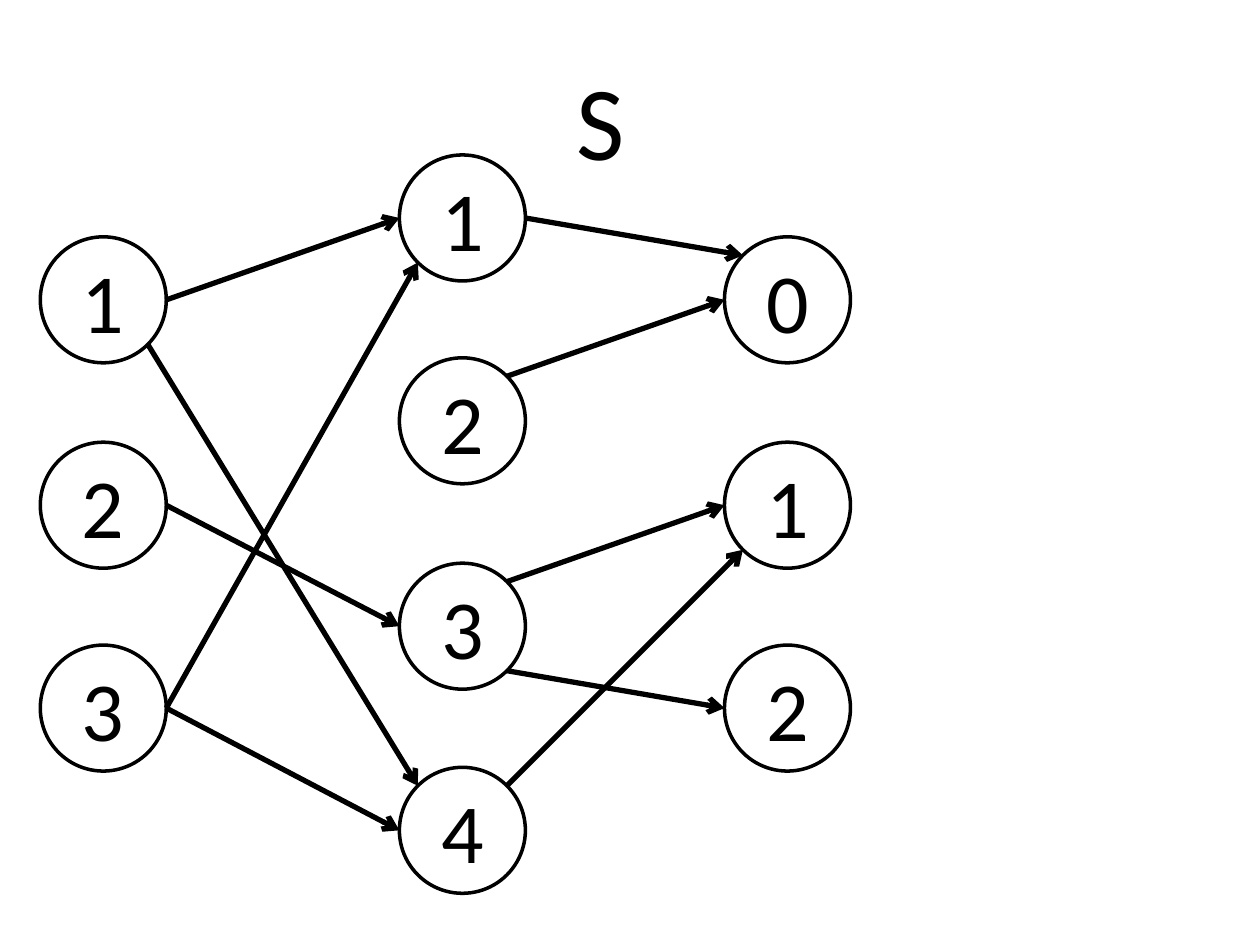
import math

from lxml import etree
from pptx import Presentation
from pptx import util as u
from pptx.dml.color import RGBColor
from pptx.enum import shapes, text
from pptx.oxml.ns import qn

PX = 9144  # EMU per px, 100 px to the inch
DIAMETER = 100

# Connection sites of an ellipse: (site index, angle in degrees, clockwise from the right)
SITES = {"left": (2, 180), "top left": (1, 225), "bottom left": (3, 135),
         "right": (6, 0), "top right": (7, 315), "bottom right": (5, 45)}

OUTER_ROWS = (188, 351, 512)
COLUMNS = {
    "source": (32, OUTER_ROWS, "123"),
    "middle": (317, (123, 284, 447, 609), "1234"),
    "target": (575, OUTER_ROWS, "012"),
}
EDGES = [
    ("source", "1", "right", "middle", "1", "left"),
    ("source", "1", "bottom right", "middle", "4", "top left"),
    ("source", "2", "right", "middle", "3", "left"),
    ("source", "3", "right", "middle", "1", "bottom left"),
    ("source", "3", "right", "middle", "4", "left"),
    ("middle", "1", "right", "target", "0", "top left"),
    ("middle", "2", "top right", "target", "0", "left"),
    ("middle", "3", "top right", "target", "1", "left"),
    ("middle", "3", "bottom right", "target", "2", "left"),
    ("middle", "4", "top right", "target", "1", "bottom left"),
]


def colour(hex_code):
    return RGBColor.from_string(hex_code)


def set_all(target, values):
    for name, value in values.items():
        setattr(target, name, value)


def site_point(node, site):
    """Return the EMU position of a connection site on a circle."""
    angle = math.radians(SITES[site][1])
    radius = node.width / 2
    return (round(node.left + radius * (1 + math.cos(angle))),
            round(node.top + radius * (1 + math.sin(angle))))


class GraphSlide:
    ink = "000000"
    font = "Calibri"

    def __init__(self, slide):
        self.shapes = slide.shapes

    def put_text(self, frame, wording, size, frame_format, align):
        set_all(frame, frame_format)
        paragraph = frame.paragraphs[0]
        paragraph.alignment = align
        run = paragraph.add_run()
        run.text = wording
        set_all(run.font, {"name": self.font, "size": u.Pt(size)})
        run.font.color.rgb = colour(self.ink)

    def stroke(self, line, width):
        line.color.rgb = colour(self.ink)
        line.width = u.Pt(width)

    def node(self, left, top, label):
        circle = self.shapes.add_shape(
            shapes.MSO_SHAPE.OVAL, *(v * PX for v in (left, top, DIAMETER, DIAMETER)))
        circle.shadow.inherit = False
        circle.fill.background()
        self.stroke(circle.line, 2)
        self.put_text(circle.text_frame, label, 48,
                      {"vertical_anchor": text.MSO_ANCHOR.MIDDLE, "word_wrap": True},
                      text.PP_ALIGN.CENTER)
        return circle

    def edge(self, start, start_site, end, end_site):
        """Draw an arrow attached to a site of each circle."""
        arrow = self.shapes.add_connector(
            shapes.MSO_CONNECTOR.STRAIGHT,
            *site_point(start, start_site), *site_point(end, end_site))
        self.stroke(arrow.line, 3)
        properties = arrow._element.spPr
        etree.SubElement(properties.find(qn("a:ln")), qn("a:tailEnd"), type="arrow")
        etree.SubElement(properties, qn("a:effectLst"))
        # begin_connect knows only the four sites of a rectangle
        joints = arrow._element.nvCxnSpPr.cNvCxnSpPr
        for tag, node, site in (("a:stCxn", start, start_site), ("a:endCxn", end, end_site)):
            etree.SubElement(joints, qn(tag), id=str(node.shape_id), idx=str(SITES[site][0]))

    def label(self, left, top, width, height, wording):
        box = self.shapes.add_textbox(*(v * PX for v in (left, top, width, height)))
        self.put_text(box.text_frame, wording, 60,
                      {"word_wrap": False, "auto_size": text.MSO_AUTO_SIZE.SHAPE_TO_FIT_TEXT},
                      text.PP_ALIGN.LEFT)


def main():
    deck = Presentation()
    set_all(deck, {"slide_width": 1000 * PX, "slide_height": 750 * PX})
    graph = GraphSlide(deck.slides.add_slide(deck.slide_layouts[6]))

    nodes = {(column, label): graph.node(left, top, label)
             for column, (left, tops, labels) in COLUMNS.items()
             for top, label in zip(tops, labels)}
    for from_column, from_label, from_site, to_column, to_label, to_site in EDGES:
        graph.edge(nodes[from_column, from_label], from_site,
                   nodes[to_column, to_label], to_site)
    graph.label(448, 39, 59, 111, "S")

    deck.save("out.pptx")


if __name__ == "__main__":
    main()
